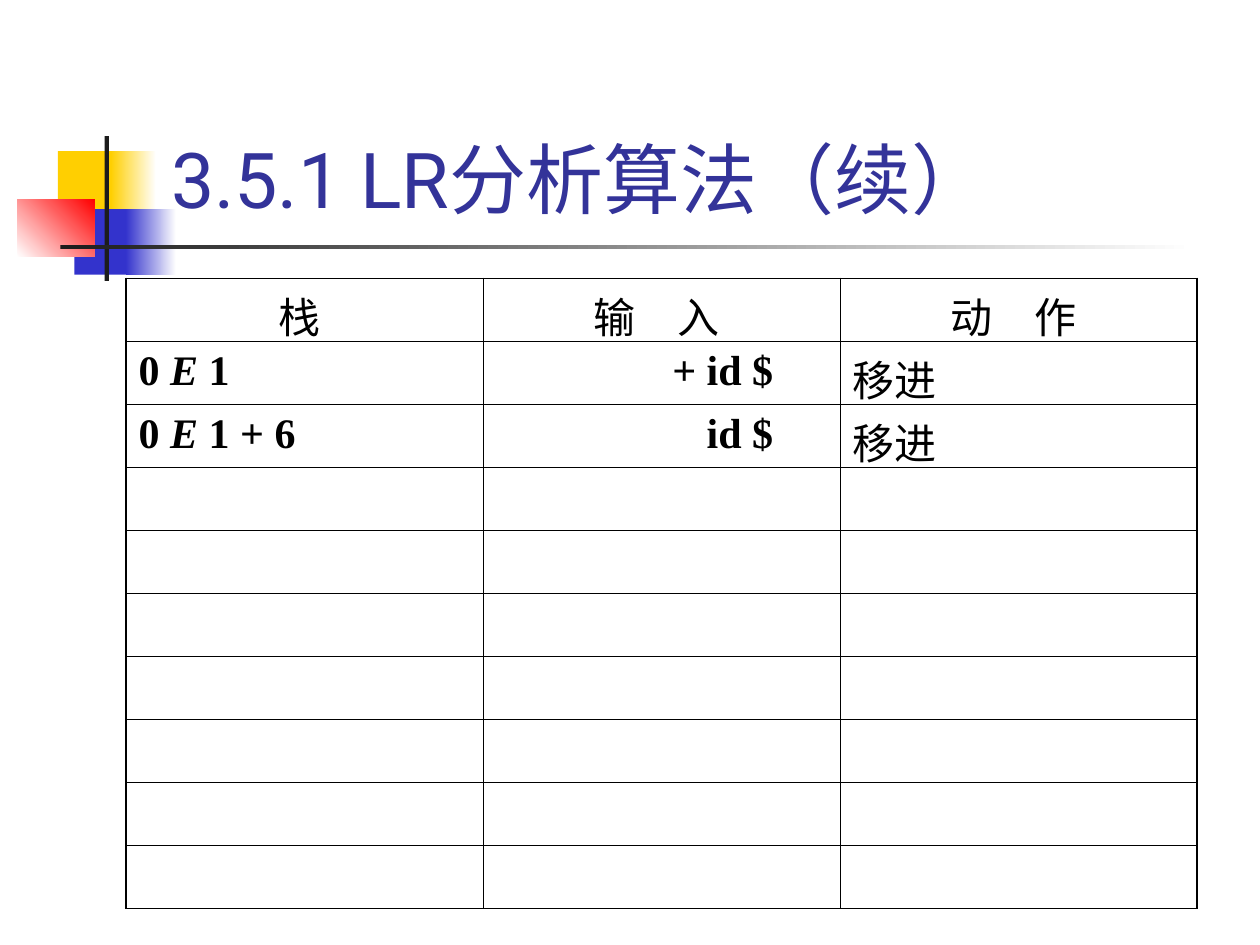
"""Build the slide on the LR parsing algorithm with its stack, input and action table."""
from lxml import etree
from pptx import Presentation
from pptx import util as u
from pptx.dml.color import RGBColor
from pptx.enum import shapes, text
from pptx.oxml.ns import qn

WHITE = RGBColor(0xFF, 0xFF, 0xFF)
BLACK = RGBColor(0, 0, 0)
YELLOW = RGBColor(0xFF, 0xCF, 0x01)
BLUE = RGBColor(0x33, 0x33, 0xCC)
RED = RGBColor(0xFF, 0, 0)
DARK = RGBColor(0x1C, 0x1C, 0x1C)
NAVY = RGBColor(0x33, 0x33, 0x99)

CJK, LATIN, TITLE_FONT = "Noto Sans CJK SC", "Times New Roman", "Roboto"
THIN, THICK = 0.45, 1.08
LEFT, CENTER, RIGHT = text.PP_ALIGN.LEFT, text.PP_ALIGN.CENTER, text.PP_ALIGN.RIGHT

TITLE = "3.5.1 LR分析算法（续）"
HEADERS = ["栈", "输　入", "动　作"]
STEPS = [
    ([("0 ", False), ("E", True), (" 1", False)], "+ id $", "移进"),
    ([("0 ", False), ("E ", True), ("1 + 6", False)], "id $", "移进"),
]
COLUMN_FORMATS = [
    dict(font=LATIN, bold=True),
    dict(font=LATIN, bold=True, align=RIGHT, inset=0.53),
    dict(),
]
ROWS = 10

# Shares of the slide in percent: left, top, width, height; then colours and angle.
DECORATION = [
    ((4.6, 16, 4.8, 6.93), [YELLOW], 0),
    ((8.8, 16, 3.6, 6.93), [YELLOW, WHITE], 0),
    ((5.9, 22.13, 4.6, 6.93), [BLUE], 0),
    ((10, 22.13, 4, 6.93), [BLUE, WHITE], 0),
    ((1.4, 21.07, 6.1, 6.13), [WHITE, RED], 45),
    ((8.3, 14.4, 0.35, 15.33), [DARK], 0),
    ((4.8, 25.93, 90, 0.45), [DARK, WHITE], 0),
]
TITLE_AREA = (12.6, 3.07, 85.2, 21.33)
TABLE_AREA = (10, 29.47, 85, 66.67)

deck = Presentation()
deck.slide_width, deck.slide_height = u.Inches(10), u.Inches(7.5)
page = deck.slides.add_slide(deck.slide_layouts[6])


def place(area):
    sides = (deck.slide_width, deck.slide_height) * 2
    return [round(side * share / 100) for side, share in zip(sides, area)]


def write(frame, content, font=CJK, size=24, color=BLACK, bold=False, align=LEFT):
    para = frame.paragraphs[0]
    para.alignment = align
    runs = [(content, False)] if isinstance(content, str) else content
    for words, italic in runs:
        span = para.add_run()
        span.text = words
        span.font.name, span.font.size = font, u.Pt(size)
        span.font.bold, span.font.italic = bold, italic
        span.font.color.rgb = color
        east = etree.SubElement(span.font._element, qn("a:ea"))
        east.set("typeface", CJK)


def decorate(area, colors, angle):
    block = page.shapes.add_shape(shapes.MSO_SHAPE.RECTANGLE, *place(area))
    block.shadow.inherit = False
    block.line.fill.background()
    if len(colors) == 1:
        block.fill.solid()
        block.fill.fore_color.rgb = colors[0]
        return
    block.fill.gradient()
    block.fill.gradient_angle = angle
    for stop, color in zip(block.fill.gradient_stops, colors):
        stop.color.rgb = color


def draw_borders(cell, widths):
    properties = cell._tc.get_or_add_tcPr()
    for side, width in widths.items():
        line = etree.SubElement(properties, qn(f"a:ln{side}"), w=str(u.Pt(width)))
        fill = etree.SubElement(line, qn("a:solidFill"))
        etree.SubElement(fill, qn("a:srgbClr"), val=str(BLACK))


def fill_cell(cell, content, inset=0.1, **style):
    cell.margin_right = u.Inches(inset)
    write(cell.text_frame, content, **style)


def add_trace():
    columns = len(HEADERS)
    table = page.shapes.add_table(ROWS, columns, *place(TABLE_AREA)).table
    table.first_row = table.horz_banding = False
    for row in range(ROWS):
        for column in range(columns):
            cell = table.cell(row, column)
            edges = dict(L=column == 0, R=column == columns - 1, T=row == 0, B=row == ROWS - 1)
            draw_borders(cell, {side: THICK if outer else THIN for side, outer in edges.items()})
            cell.fill.background()
    for column, header in enumerate(HEADERS):
        fill_cell(table.cell(0, column), header, inset=0.18, align=CENTER)
    for row, step in enumerate(STEPS, 1):
        for column, content in enumerate(step):
            fill_cell(table.cell(row, column), content, **COLUMN_FORMATS[column])


def main():
    for block in DECORATION:
        decorate(*block)
    box = page.shapes.add_textbox(*place(TITLE_AREA))
    box.text_frame.word_wrap = True
    box.text_frame.vertical_anchor = text.MSO_ANCHOR.BOTTOM
    write(box.text_frame, TITLE, font=TITLE_FONT, size=44, color=NAVY)
    add_trace()
    deck.save("out.pptx")


if __name__ == "__main__":
    main()
